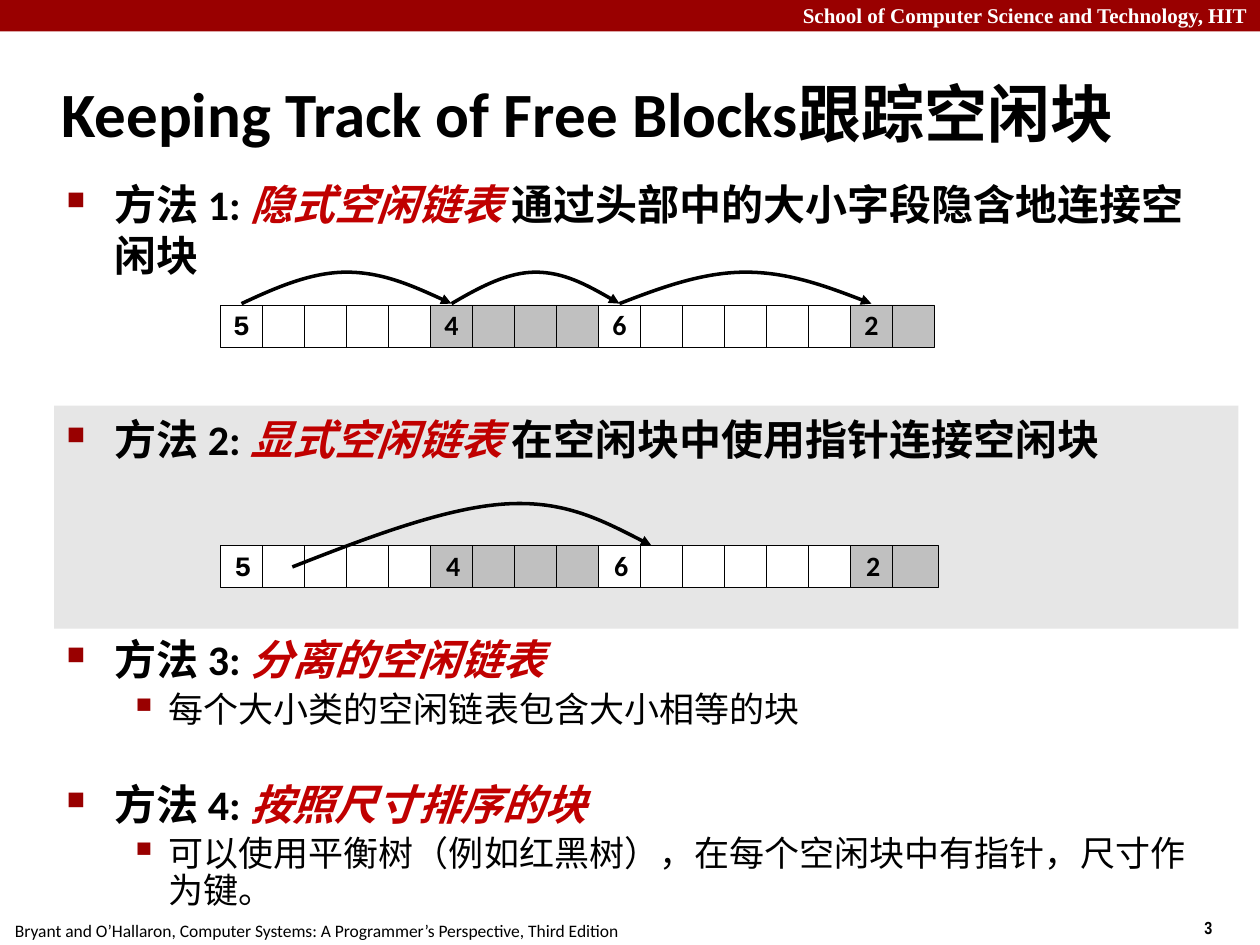
import lxml.etree
import pptx
import pptx.dml.color
import pptx.enum.shapes
import pptx.enum.text
import pptx.oxml.ns
import pptx.util

Inches = pptx.util.Inches
Pt = pptx.util.Pt
Align = pptx.enum.text.PP_ALIGN
Anchor = pptx.enum.text.MSO_ANCHOR

COLORS = {
    "banner": "990000",
    "emphasis": "C00000",
    "band": "E6E6E6",
    "allocated": "C0C0C0",
    "free": "FFFFFF",
    "text": "000000",
    "white": "FFFFFF",
}
BLOCKS = [(5, "free"), (4, "allocated"), (6, "free"), (2, "allocated")]
ROW_LEFT = 1.75
WORD = 1 / 3

# (level, space before, line spacing, [(text, emphasised)])
OUTLINE = [
    (0, 6, 1, [("方法 1: ", False), ("隐式空闲链表 ", True),
               ("通过头部中的大小字段隐含地连接空闲块", False)]),
    (0, 76.5, 1, [("方法 2: ", False), ("显式空闲链表 ", True),
                  ("在空闲块中使用指针连接空闲块", False)]),
    (0, 102, 0.83, [("方法 3: ", False), ("分离的空闲链表", True)]),
    (1, 5, 0.88, [("每个大小类的空闲链表包含大小相等的块", False)]),
    (0, 32.5, 0.83, [("方法 4: ", False), ("按照尺寸排序的块", True)]),
    (1, 5, 0.88, [("可以使用平衡树（例如红黑树），在每个空闲块中有指针，尺寸作为键。", False)]),
]
# Left margin, hanging indent, text size, bullet, bullet size in percent
LEVELS = [(0.38, 0.38, 24, "■", 60), (0.81, 0.31, 20, "▪", 110)]


def rgb(name):
    return pptx.dml.color.RGBColor.from_string(COLORS[name])


def add_xml(parent, tag, **attributes):
    return lxml.etree.SubElement(parent, pptx.oxml.ns.qn(tag), attributes)


def style_span(span, size, font="Calibri", color="text", bold=False, italic=False):
    span.font.size = Pt(size)
    span.font.name = font
    span.font.bold = bold
    span.font.italic = italic
    span.font.color.rgb = rgb(color)


def add_label(page, text, left, top, width, height, size,
              align=Align.LEFT, anchor=Anchor.TOP, wrap=True, **style):
    box = page.shapes.add_textbox(Inches(left), Inches(top), Inches(width), Inches(height))
    frame = box.text_frame
    frame.word_wrap = wrap
    frame.vertical_anchor = anchor
    frame.text = text
    para = frame.paragraphs[0]
    para.alignment = align
    style_span(para.runs[0], size, **style)


def add_rectangle(page, left, top, width, height, fill, outlined=False):
    rectangle = page.shapes.add_shape(
        pptx.enum.shapes.MSO_SHAPE.RECTANGLE,
        Inches(left), Inches(top), Inches(width), Inches(height))
    rectangle.shadow.inherit = False
    rectangle.fill.solid()
    rectangle.fill.fore_color.rgb = rgb(fill)
    if outlined:
        rectangle.line.color.rgb = rgb("text")
        rectangle.line.width = Pt(0.25)
    else:
        rectangle.line.fill.background()
    return rectangle


def add_bullet(para, char, percent):
    properties = para._p.get_or_add_pPr()
    add_xml(add_xml(properties, "a:buClr"), "a:srgbClr", val=COLORS["banner"])
    add_xml(properties, "a:buSzPct", val=str(percent * 1000))
    add_xml(properties, "a:buChar", char=char)


def add_outline(page):
    box = page.shapes.add_textbox(Inches(0.43), Inches(1.37), Inches(9.13), Inches(5.88))
    frame = box.text_frame
    frame.word_wrap = True
    for index, (level, before, spacing, spans) in enumerate(OUTLINE):
        margin, hanging, size, char, percent = LEVELS[level]
        para = frame.add_paragraph() if index else frame.paragraphs[0]
        para.level = level
        para.space_before = Pt(before)
        para.line_spacing = spacing
        properties = para._p.get_or_add_pPr()
        properties.set("marL", str(Inches(margin)))
        properties.set("indent", str(-Inches(hanging)))
        add_bullet(para, char, percent)
        for text, emphasised in spans:
            span = para.add_run()
            span.text = text
            style_span(span, size, color="emphasis" if emphasised else "text",
                       bold=level == 0, italic=emphasised)


def add_heap_row(page, top, cell_width):
    """Draw one cell per word; the first word of each block shows its size."""
    position = 0
    for size, state in BLOCKS:
        for word in range(size):
            cell = add_rectangle(page, ROW_LEFT + position * WORD, top,
                                 cell_width, WORD, state, outlined=True)
            position += 1
            if word:
                continue
            frame = cell.text_frame
            frame.word_wrap = False
            frame.vertical_anchor = Anchor.MIDDLE
            frame.text = str(size)
            para = frame.paragraphs[0]
            para.alignment = Align.CENTER
            para.line_spacing = 0.94 if size == 5 else 0.98
            style_span(para.runs[0], 16, bold=True,
                       font="Courier New" if size == 5 else "Calibri")


def add_curved_arrow(page, points):
    """Draw a Bézier curve through a start point and triples of control points."""
    start, *controls = [(Inches(x), Inches(y)) for x, y in points]
    builder = page.shapes.build_freeform(*start)
    builder.add_line_segments(controls, close=False)
    arrow = builder.convert_to_shape()
    arrow.shadow.inherit = False
    arrow.fill.background()
    arrow.line.color.rgb = rgb("text")
    arrow.line.width = Pt(2)
    add_xml(arrow.line._get_or_add_ln(), "a:tailEnd", type="triangle")
    segments = list(arrow._element.iter(pptx.oxml.ns.qn("a:lnTo")))
    outline = segments[0].getparent()
    for first in range(0, len(segments), 3):
        curve = add_xml(outline, "a:cubicBezTo")
        for segment in segments[first:first + 3]:
            curve.append(segment[0])
            outline.remove(segment)


def add_implicit_links(page):
    """Arch from the header of each block to the header of the next."""
    base, shoulder, peak = 2.41, 2.28, 2.16
    start = ROW_LEFT + WORD / 2
    for size, _ in BLOCKS[:-1]:
        span = size * WORD
        heights = [base, shoulder, peak, peak, peak, shoulder, base]
        add_curved_arrow(page, [(start + span * step / 6, y)
                                for step, y in enumerate(heights)])
        start += span


def main():
    deck = pptx.Presentation()
    deck.slide_width, deck.slide_height = Inches(10), Inches(7.5)
    page = deck.slides.add_slide(deck.slide_layouts[6])

    add_rectangle(page, 0, 0, 10, 0.25, "banner")
    add_label(page, "3", 9.46, 7.23, 0.75, 0.27, 10, wrap=False,
              font="Arial Narrow", bold=True)
    add_label(page, "School of Computer Science and Technology, HIT",
              0, -0.03, 10, 0.3, 12, align=Align.RIGHT,
              font="Times New Roman", color="white", bold=True)
    add_label(page, "Bryant and O’Hallaron, Computer Systems: "
              "A Programmer’s Perspective, Third Edition",
              0.02, 7.25, 5.01, 0.27, 10, wrap=False)
    add_rectangle(page, 0.43, 3.22, 9.4, 1.77, "band")
    add_label(page, "Keeping Track of Free Blocks跟踪空闲块",
              0.39, 0.48, 8.86, 0.83, 36, anchor=Anchor.MIDDLE, bold=True)
    add_outline(page)

    add_heap_row(page, 2.42, WORD)
    add_implicit_links(page)
    add_heap_row(page, 4.33, 0.36)
    add_curved_arrow(page, [(2.32, 4.5), (2.93, 4.26), (3.54, 4.03), (4.01, 4),
                            (4.48, 3.97), (4.82, 4.15), (5.17, 4.33)])
    deck.save("out.pptx")


if __name__ == "__main__":
    main()
